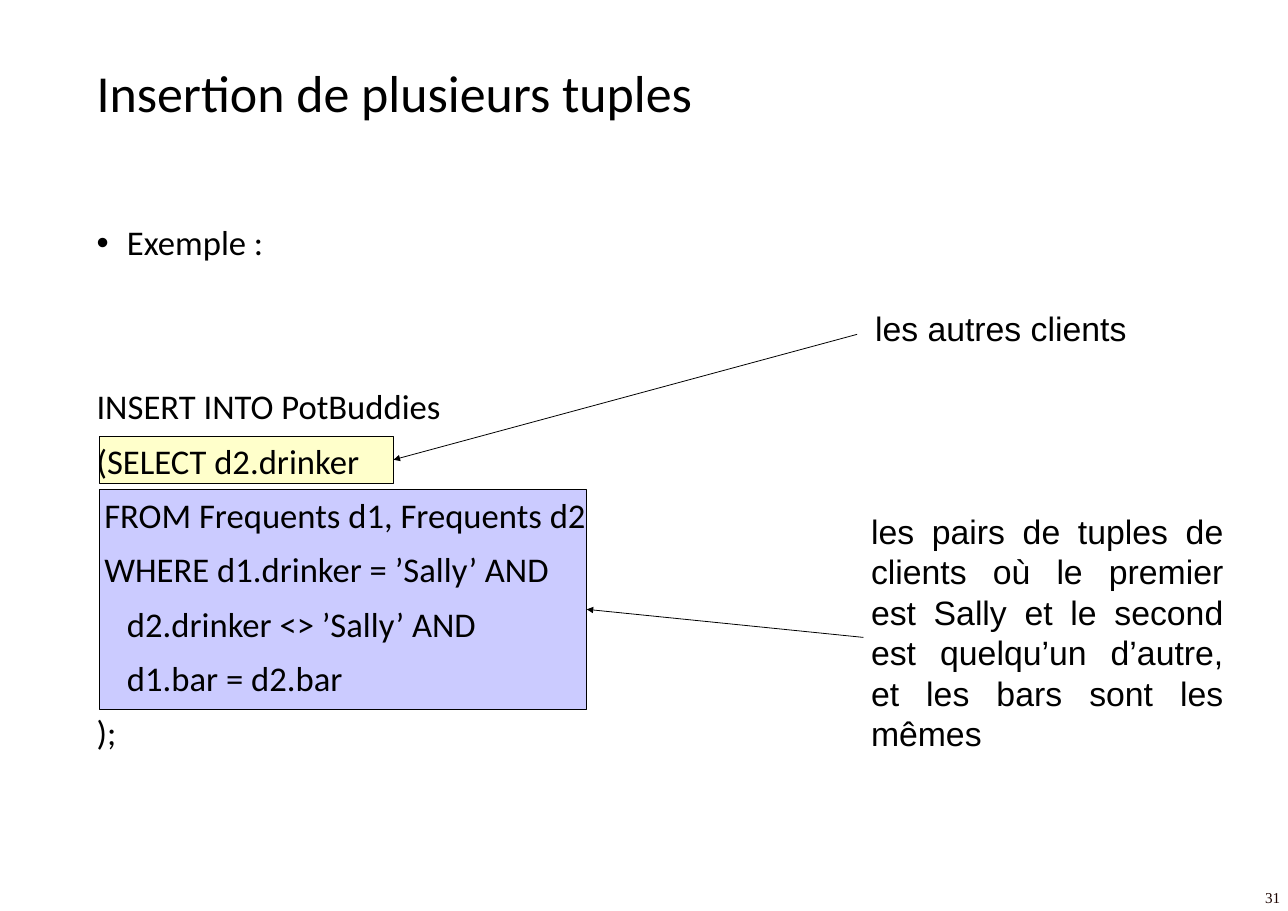
from pptx import Presentation
from pptx.dml.color import RGBColor
from pptx.enum.shapes import MSO_CONNECTOR as Connector, MSO_SHAPE as Shape
from pptx.enum.text import MSO_ANCHOR as Anchor, PP_ALIGN as Align
from pptx.oxml.ns import qn
from pptx.util import Inches, Pt
from lxml.etree import SubElement

COLORS = {"ink": "000000", "number": "1D0401", "select": "FFFF99", "source": "9999FF"}

# Grid of 100 columns by 100 rows over the slide
WIDTH, HEIGHT = 16.53, 11.69
RIGHT_SIDE = 3
CODE_SIZE, CODE_GAP, LINE_SPACING = 32, 15.6, 0.9
NOTE_SIZE = 31.2


def cols(count):
    return Inches(count * WIDTH / 100)


def rows(count):
    return Inches(count * HEIGHT / 100)


def place(left, top, width, height):
    return cols(left), rows(top), cols(width), rows(height)


def color(name):
    return RGBColor.from_string(COLORS[name])


def style(paragraph, size, font, ink="ink", align=Align.LEFT):
    paragraph.alignment = align
    for run in paragraph.runs:
        run.font.size = Pt(size)
        run.font.name = font
        run.font.color.rgb = color(ink)


def add_text(slide, box, words, size, font, ink="ink", align=Align.LEFT):
    frame = slide.shapes.add_textbox(*place(*box)).text_frame
    frame.word_wrap = True
    frame.text = words
    for paragraph in frame.paragraphs:
        style(paragraph, size, font, ink, align)
    return frame


def add_highlight(slide, box, fill):
    highlight = slide.shapes.add_shape(Shape.RECTANGLE, *place(*box))
    highlight.shadow.inherit = False
    highlight.fill.solid()
    highlight.fill.fore_color.rgb = color(fill)
    tint = highlight.fill._xPr.find(qn("a:solidFill"))[0]
    SubElement(tint, qn("a:alpha")).set("val", "50000")
    highlight.line.color.rgb = color("ink")
    highlight.line.width = Pt(0.75)
    return highlight


def add_arrow(slide, start, end):
    arrow = slide.shapes.add_connector(
        Connector.STRAIGHT, cols(start[0]), rows(start[1]), cols(end[0]), rows(end[1]))
    arrow.line.color.rgb = color("ink")
    arrow.line.width = Pt(0.75)
    SubElement(arrow.line._get_or_add_ln(), qn("a:tailEnd")).set("type", "triangle")
    SubElement(arrow._element.spPr, qn("a:effectLst"))
    return arrow


def set_indent(paragraph, margin, hanging=0):
    properties = paragraph._p.get_or_add_pPr()
    properties.set("marL", str(Inches(margin)))
    properties.set("indent", str(Inches(-hanging)))
    return properties


def add_title(slide, box):
    title = add_text(slide, box, "Insertion de plusieurs tuples", 48, "Calibri")
    title.vertical_anchor = Anchor.MIDDLE
    title.paragraphs[0].line_spacing = LINE_SPACING


def add_highlights(slide, left, top):
    """Mark the two parts of the query and point the notes at them."""
    source = add_highlight(slide, (left + 0.85, top + 29.34, 37.81, 24.12), "source")
    select = add_highlight(slide, (left + 0.85, top + 23.52, 22.81, 5.13), "select")
    add_arrow(slide, (left + 60.13, top + 45.59), (left + 38.66, top + 42.51))
    clients_arrow = add_arrow(
        slide, (left + 59.65, top + 12.32), (left + 23.66, top + 26.08))
    clients_arrow.end_connect(select, RIGHT_SIDE)
    return source, select


def add_notes(slide, left, top):
    add_text(slide, (left + 60.44, top + 8.98, 22, 5.39),
             "les autres clients", NOTE_SIZE, "Arial")
    add_text(slide, (left + 60.13, top + 31.22, 28.55, 27.8),
             "les pairs de tuples de clients où le premier est Sally et le second "
             "est quelqu’un d’autre, et les bars sont les mêmes",
             NOTE_SIZE, "Arial", align=Align.JUSTIFY)


def add_query(slide, box):
    # Each line with its left margin in inches
    lines = [
        ("Exemple :", 0.39),
        ("INSERT INTO PotBuddies", 0),
        ("(SELECT d2.drinker", 0),
        ("FROM Frequents d1, Frequents d2", 0.1),
        ("WHERE d1.drinker = ’Sally’ AND", 0.1),
        ("d2.drinker <> ’Sally’ AND", 0.39),
        ("d1.bar = d2.bar", 0.39),
        (");", 0),
    ]
    words = "\n".join(line for line, _ in lines)
    query = add_text(slide, box, words, CODE_SIZE, "Calibri")
    for paragraph, (_, margin) in zip(query.paragraphs, lines):
        paragraph.line_spacing = LINE_SPACING
        paragraph.space_before = Pt(CODE_GAP)
        set_indent(paragraph, margin)

    # Bulleted heading, then a wide gap before the code
    heading, insert = query.paragraphs[:2]
    bullet = set_indent(heading, 0.39, hanging=0.39)
    SubElement(bullet, qn("a:buFont")).set("typeface", "Arial")
    SubElement(bullet, qn("a:buChar")).set("char", "•")
    insert.space_before = Pt(117)


def add_example(slide, box):
    left, top = box[:2]
    add_highlights(slide, left, top)
    add_notes(slide, left, top)
    add_query(slide, box)


def add_page_number(slide, box):
    add_text(slide, box, "31", 14, "Times New Roman", "number", Align.RIGHT)


def main():
    deck = Presentation()
    deck.slide_width, deck.slide_height = Inches(WIDTH), Inches(HEIGHT)
    slide = deck.slides.add_slide(deck.slide_layouts[6])
    add_title(slide, (6.9, 5.3, 86.27, 10.44))
    add_example(slide, (6.9, 24.38, 86.27, 65.7))
    add_page_number(slide, (87.42, 97.09, 12.58, 2.82))
    deck.save("out.pptx")


if __name__ == "__main__":
    main()
